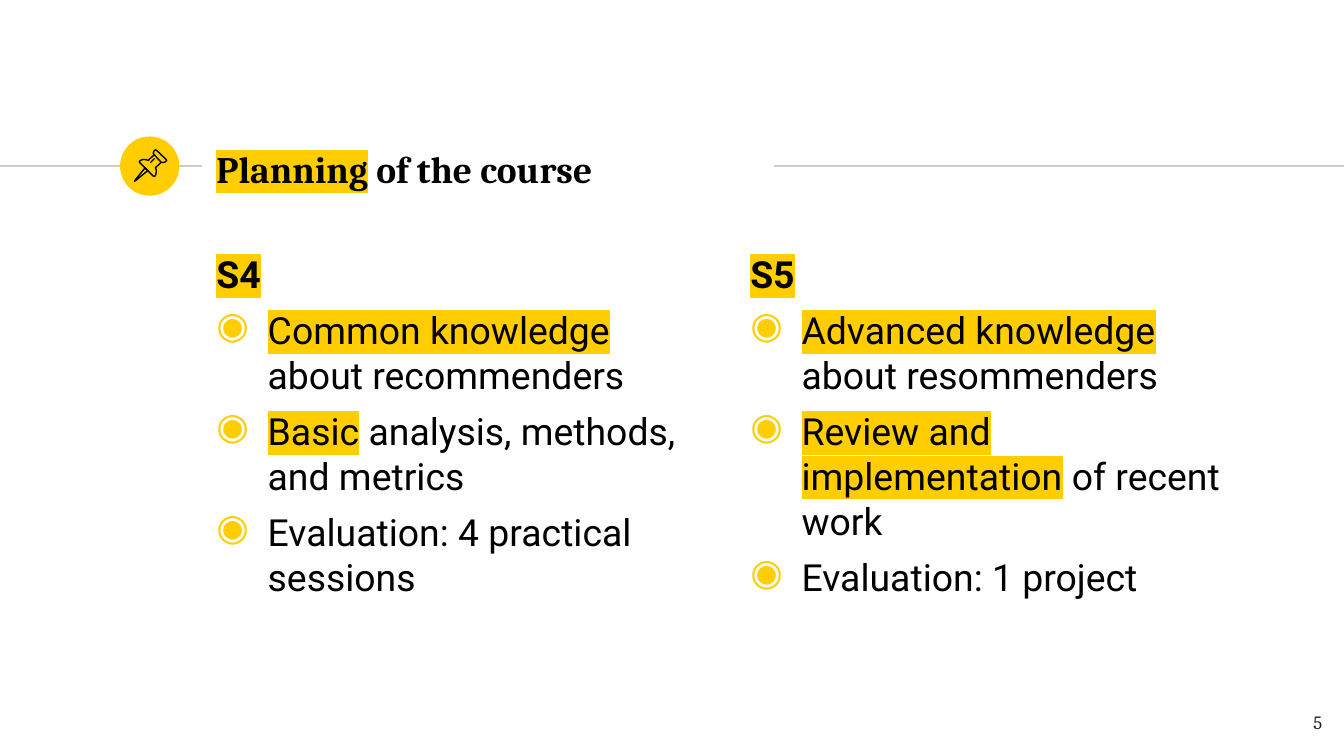
from dataclasses import dataclass

from lxml.etree import SubElement
from pptx import Presentation
from pptx.dml.color import RGBColor
from pptx.enum.shapes import MSO_CONNECTOR as Connector, MSO_SHAPE as Shape
from pptx.enum.text import MSO_ANCHOR as Anchor, MSO_AUTO_SIZE as AutoSize, PP_ALIGN as Align
from pptx.oxml.ns import qn
from pptx.util import Cm, Pt

YELLOW, BLACK, GREY, DARK = "FFCD00", "000000", "CCCCCC", "1D1D1B"
SERIF, SANS = "Cambria", "Roboto"
AXIS = 3.14  # height of the header rule
MARGIN = Cm(0.25)
INDENT = Cm(0.97)


@dataclass
class Column:
    left: float
    heading: str
    items: list[tuple[str, str]]  # highlighted part, plain part


@dataclass
class Outline:
    points: list[tuple[int, int]]  # thousandths of an inch
    closed: bool


COLUMNS = [
    Column(3.84, "S4", [("Common knowledge ", "about recommenders"),
                        ("Basic", " analysis, methods, and metrics"),
                        ("", "Evaluation: 4 practical sessions")]),
    Column(13.93, "S5", [("Advanced knowledge", " about resommenders"),
                         ("Review and implementation", " of recent work"),
                         ("", "Evaluation: 1 project")]),
]

PIN = [
    # needle
    Outline([(1080, 1250), (1010, 1335), (1000, 1350), (1015, 1340), (1100, 1270)], True),
    # cap
    Outline([(1147, 1152), (1200, 1208), (1215, 1210), (1230, 1205), (1240, 1195),
             (1238, 1188), (1163, 1117), (1155, 1115), (1145, 1125), (1141, 1140)], True),
    # body
    Outline([(1147, 1152), (1103, 1194), (1085, 1188), (1065, 1187), (1045, 1194),
             (1036, 1203), (1040, 1210), (1140, 1310), (1150, 1313), (1157, 1305),
             (1163, 1285), (1163, 1265), (1157, 1248), (1200, 1208)], False),
    # shine
    Outline([(1120, 1210), (1150, 1180)], False),
]


def color(value: str) -> RGBColor:
    return RGBColor.from_string(value)


def add_text(paragraph, text: str, *, font: str = SANS, size: float = 20, bold: bool = False,
             fill: str = BLACK, highlight: str | None = None) -> None:
    run = paragraph.add_run()
    run.text = text
    run.font.name, run.font.size, run.font.bold = font, Pt(size), bold
    run.font.color.rgb = color(fill)
    if highlight:
        properties = run.font._element
        mark = SubElement(properties, qn("a:highlight"))
        SubElement(mark, qn("a:srgbClr"), val=highlight)
        properties.find(qn("a:solidFill")).addnext(mark)


def set_frame(shape, anchor=Anchor.TOP):
    frame = shape.text_frame
    frame.word_wrap = True
    frame.auto_size = AutoSize.NONE
    frame.vertical_anchor = anchor
    frame.margin_left = frame.margin_right = frame.margin_top = frame.margin_bottom = MARGIN
    return frame


def add_bullet(paragraph) -> None:
    properties = paragraph._p.get_or_add_pPr()
    properties.set("marL", str(INDENT))
    properties.set("indent", str(-INDENT))
    bullet_color = SubElement(properties, qn("a:buClr"))
    SubElement(bullet_color, qn("a:srgbClr"), val=YELLOW)
    SubElement(properties, qn("a:buChar"), char="◉")


def add_rule(slide, left: float, right: float) -> None:
    rule = slide.shapes.add_connector(Connector.STRAIGHT, Cm(left), Cm(AXIS), Cm(right), Cm(AXIS))
    rule.line.color.rgb = color(GREY)
    rule.line.width = Pt(0.75)
    SubElement(rule._element.spPr, qn("a:effectLst"))


def add_outline(slide, outline: Outline) -> None:
    builder = slide.shapes.build_freeform(*outline.points[0], scale=Cm(2.54) / 1000)
    builder.add_line_segments(outline.points[1:], close=outline.closed)
    shape = builder.convert_to_shape()
    shape.shadow.inherit = False
    shape.fill.background()
    shape.line.color.rgb = color(BLACK)
    shape.line.width = Pt(0.75)


def add_column(slide, column: Column) -> None:
    box = slide.shapes.add_textbox(Cm(column.left), Cm(4.5), Cm(9.53), Cm(8.97))
    frame = set_frame(box)
    heading = frame.paragraphs[0]
    heading.space_before = Pt(6)
    add_text(heading, column.heading, bold=True, highlight=YELLOW)
    for marked, plain in column.items:
        paragraph = frame.add_paragraph()
        paragraph.space_before = Pt(6)
        add_bullet(paragraph)
        if marked:
            add_text(paragraph, marked, highlight=YELLOW)
        add_text(paragraph, plain)


def main() -> None:
    presentation = Presentation()
    presentation.slide_width, presentation.slide_height = Cm(25.4), Cm(14.29)
    slide = presentation.slides.add_slide(presentation.slide_layouts[5])

    # Header rule and badge
    add_rule(slide, 0, 3.81)
    add_rule(slide, 14.63, 25.4)
    badge = slide.shapes.add_shape(Shape.OVAL, Cm(2.27), Cm(2.58), Cm(1.12), Cm(1.12))
    badge.shadow.inherit = False
    badge.fill.solid()
    badge.fill.fore_color.rgb = color(YELLOW)
    badge.line.fill.background()
    for outline in PIN:
        add_outline(slide, outline)

    # Title
    title = slide.shapes.title
    title.left, title.top, title.width, title.height = Cm(3.84), Cm(2.57), Cm(10.77), Cm(1.22)
    paragraph = set_frame(title, Anchor.MIDDLE).paragraphs[0]
    paragraph.alignment = Align.LEFT
    add_text(paragraph, "Planning", font=SERIF, bold=True, highlight=YELLOW)
    add_text(paragraph, " of the course", font=SERIF, bold=True)

    # Two columns
    for column in COLUMNS:
        add_column(slide, column)

    # Slide number
    number = slide.shapes.add_textbox(Cm(23.72), Cm(13.18), Cm(1.52), Cm(1.09))
    paragraph = set_frame(number).paragraphs[0]
    paragraph.alignment = Align.RIGHT
    add_text(paragraph, "5", font=SERIF, size=10, fill=DARK)

    presentation.save("out.pptx")


if __name__ == "__main__":
    main()
